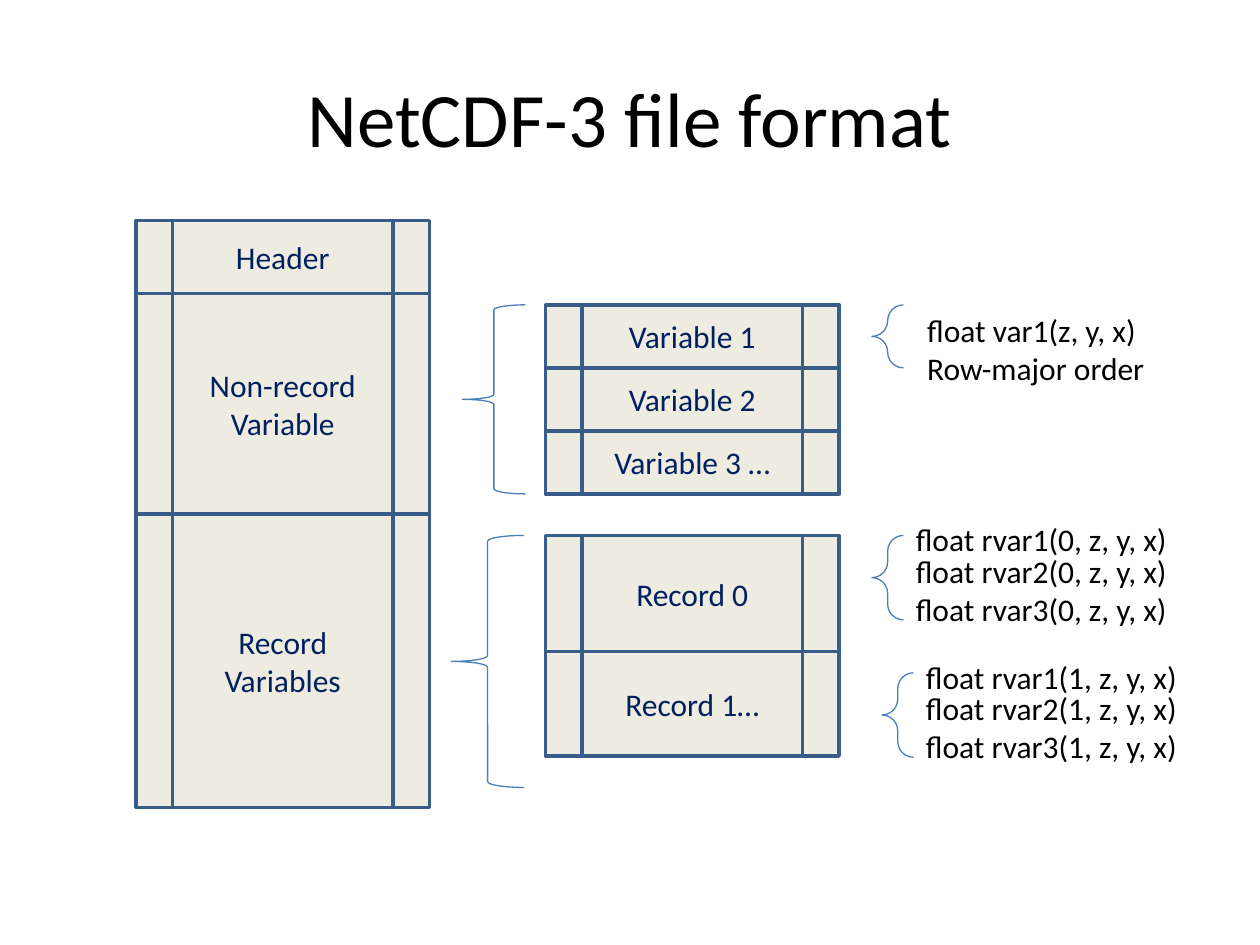
from pptx import Presentation
from pptx.dml.color import RGBColor
from pptx.enum.shapes import MSO_SHAPE as Kind
from pptx.enum.text import MSO_ANCHOR as Anchor, MSO_AUTO_SIZE as Fit, PP_ALIGN as Align
from pptx.util import Inches, Pt

BLACK = RGBColor(0x00, 0x00, 0x00)
NAVY = RGBColor(0x00, 0x20, 0x60)
CREAM = RGBColor(0xEE, 0xEC, 0xE1)
EDGE = RGBColor(0x38, 0x5D, 0x8A)
BLUE = RGBColor(0x4A, 0x7E, 0xBB)

BODY = {"name": "Calibri", "size": Pt(18)}
HEAD = {"name": "Calibri", "size": Pt(44)}
BLOCK = {"word_wrap": True, "vertical_anchor": Anchor.MIDDLE}
NOTE = {"word_wrap": False, "auto_size": Fit.SHAPE_TO_FIT_TEXT}

WIDE = 2.33
PARTS = [("Header", 0.58), ("Non-record\nVariable", 1.75), ("Record Variables", 2.33)]
VARS = [("Variable 1", 0.5), ("Variable 2", 0.5), ("Variable 3 …", 0.5)]
RECS = [("Record 0", 0.92), ("Record 1…", 0.83)]


def apply(item, form):
    for key, value in form.items():
        setattr(item, key, value)


def write(frame, text, form, color, align, font=BODY):
    apply(frame, form)
    frame.text = text
    for para in frame.paragraphs:
        para.alignment = align
        apply(para.font, font)
        para.font.color.rgb = color


def add_title(slide, text):
    title = slide.shapes.title
    place = {"left": 0.5, "top": 0.3, "width": 9, "height": 1.25}
    apply(title, {key: Inches(size) for key, size in place.items()})
    write(title.text_frame, text, BLOCK, BLACK, Align.CENTER, HEAD)


def add_shape(shapes, kind, box, color, width):
    shape = shapes.add_shape(kind, *map(Inches, box))
    shape.shadow.inherit = False
    shape.line.color.rgb = color
    shape.line.width = Pt(width)
    return shape


def add_stack(shapes, left, top, rows):
    for text, high in rows:
        box = left, top, WIDE, high
        block = add_shape(shapes, Kind.FLOWCHART_PREDEFINED_PROCESS, box, EDGE, 2)
        block.fill.solid()
        block.fill.fore_color.rgb = CREAM
        write(block.text_frame, text, BLOCK, NAVY, Align.CENTER)
        top += high


def add_brace(shapes, box, curl):
    brace = add_shape(shapes, Kind.LEFT_BRACE, box, BLUE, 0.75)
    brace.fill.background()
    brace.adjustments[0] = curl


def add_note(shapes, box, text):
    note = shapes.add_textbox(*map(Inches, box))
    write(note.text_frame, text, NOTE, BLACK, Align.LEFT)


def add_record(slide, index, left, top):
    shapes = slide.shapes.add_group_shape().shapes
    first, *rest = [f"float rvar{n}({index}, z, y, x)" for n in (1, 2, 3)]
    add_note(shapes, (left, top + 0.25, 2.22, 0.7), "\n".join(rest))
    add_note(shapes, (left, top, 2.21, 0.4), first)
    add_brace(shapes, (left - 0.25, top + 0.17, 0.25, 0.67), 0.5)


def main():
    deck = Presentation()
    deck.slide_width, deck.slide_height = Inches(10), Inches(7.5)
    slide = deck.slides.add_slide(deck.slide_layouts[5])
    shapes = slide.shapes
    add_title(slide, "NetCDF-3 file format")
    add_stack(shapes, 1.08, 1.75, PARTS)
    add_stack(shapes, 4.33, 2.42, VARS)
    add_stack(shapes, 4.33, 4.25, RECS)
    add_brace(shapes, (3.67, 2.42, 0.5, 1.5), 0.08)
    add_brace(shapes, (3.58, 4.25, 0.58, 2), 0.08)
    add_note(shapes, (7.26, 2.42, 1.94, 0.7), "float var1(z, y, x)\nRow-major order")
    add_brace(shapes, (6.92, 2.42, 0.25, 0.5), 0.5)
    add_record(slide, 0, 7.17, 4.08)
    add_record(slide, 1, 7.25, 5.17)
    deck.save("out.pptx")


if __name__ == "__main__":
    main()
